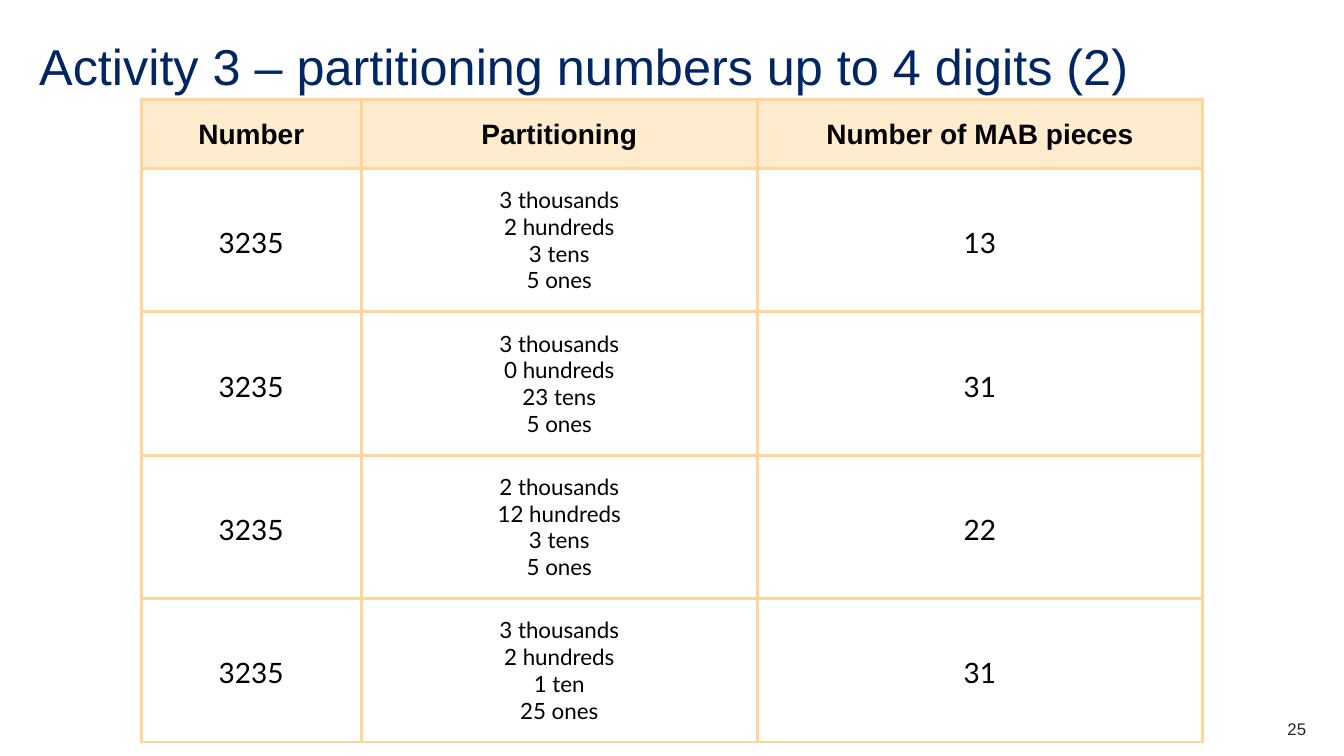
from dataclasses import dataclass

from pptx import Presentation
from pptx.dml.color import RGBColor
from pptx.enum.text import MSO_ANCHOR, MSO_AUTO_SIZE, PP_ALIGN
from pptx.oxml.ns import qn
from pptx.util import Pt
from lxml import etree

LEFT, CENTER, RIGHT = PP_ALIGN.LEFT, PP_ALIGN.CENTER, PP_ALIGN.RIGHT
MIDDLE = MSO_ANCHOR.MIDDLE
NO_FIT = MSO_AUTO_SIZE.NONE
TITLE_ONLY = 5


@dataclass(frozen=True)
class Theme:
    """Colours, fonts and sizes of the slide."""
    navy: str = "002664"
    charcoal: str = "22272B"
    black: str = "000000"
    header_fill: str = "FFEBCD"
    border: str = "FFD699"
    border_width: float = 2.25
    cell_margin: float = 13
    heading_font: str = "Arial"
    body_font: str = "Lato"
    title_size: int = 36
    number_size: int = 20
    parts_size: int = 16
    page_size: int = 12


class SlideBuilder:
    """Adds styled elements to one slide."""

    def __init__(self, slide, theme):
        self.slide = slide
        self.theme = theme

    def set_text(self, frame, text, font, size, color, align, spacing=None, bold=False):
        """Fill a text frame with one paragraph per line of text."""
        frame.text = text
        values = {"name": font, "size": Pt(size), "bold": bold}
        for paragraph in frame.paragraphs:
            paragraph.alignment = align
            paragraph.line_spacing = spacing
            for run in paragraph.runs:
                for name, value in values.items():
                    setattr(run.font, name, value)
                run.font.color.rgb = RGBColor.from_string(color)

    def place(self, shape, left, top, width, height):
        """Set the position of a text shape and clear its margins."""
        bounds = {"left": left, "top": top, "width": width, "height": height}
        for name, value in bounds.items():
            setattr(shape, name, Pt(value))
        frame_values = {"margin_left": 0, "margin_top": 0, "margin_right": 0,
                        "margin_bottom": 0, "word_wrap": True,
                        "vertical_anchor": MIDDLE, "auto_size": NO_FIT}
        for name, value in frame_values.items():
            setattr(shape.text_frame, name, value)

    def title(self, text, *bounds):
        """Format the title placeholder."""
        shape = self.slide.shapes.title
        self.place(shape, *bounds)
        self.set_text(shape.text_frame, text, self.theme.heading_font,
                      self.theme.title_size, self.theme.navy, LEFT, 0.9)

    def page_number(self, text, *bounds):
        """Add the page number."""
        shape = self.slide.shapes.add_textbox(0, 0, 0, 0)
        self.place(shape, *bounds)
        self.set_text(shape.text_frame, text, self.theme.heading_font,
                      self.theme.page_size, self.theme.charcoal, RIGHT)

    def outline(self, cell):
        """Draw all four borders of a cell."""
        properties = cell._tc.get_or_add_tcPr()
        for position, side in enumerate(("lnL", "lnR", "lnT", "lnB")):
            line = etree.Element(qn(f"a:{side}"), w=str(Pt(self.theme.border_width)))
            fill = etree.SubElement(line, qn("a:solidFill"))
            etree.SubElement(fill, qn("a:srgbClr"), val=self.theme.border)
            properties.insert(position, line)

    def cell(self, cell, text, is_header):
        """Format one table cell."""
        theme = self.theme
        for side in ("left", "right", "top", "bottom"):
            setattr(cell, f"margin_{side}", Pt(theme.cell_margin))
        cell.vertical_anchor = MIDDLE
        if is_header:
            cell.fill.solid()
            cell.fill.fore_color.rgb = RGBColor.from_string(theme.header_fill)
            style = (theme.heading_font, theme.number_size, theme.black, CENTER, Pt(23), True)
        else:
            cell.fill.background()
            if "\n" in text:
                style = (theme.body_font, theme.parts_size, theme.black, CENTER)
            else:
                style = (theme.body_font, theme.number_size, theme.black, CENTER, Pt(28))
        self.set_text(cell.text_frame, text, *style)
        self.outline(cell)

    def table(self, rows, left, top, widths, heights):
        """Add a bordered table whose first row is a header."""
        frame = self.slide.shapes.add_table(
            len(rows), len(widths), Pt(left), Pt(top), Pt(sum(widths)), Pt(sum(heights)))
        table = frame.table
        table.horz_banding = False
        for column, width in zip(table.columns, widths):
            column.width = Pt(width)
        for row_index, (row, height) in enumerate(zip(rows, heights)):
            table.rows[row_index].height = Pt(height)
            for column_index, text in enumerate(row):
                self.cell(table.cell(row_index, column_index), text, row_index == 0)


def main():
    """Build and save the slide."""
    presentation = Presentation()
    presentation.slide_width = Pt(960)
    presentation.slide_height = Pt(540)
    slide = presentation.slides.add_slide(presentation.slide_layouts[TITLE_ONLY])
    builder = SlideBuilder(slide, Theme())
    builder.title("Activity 3 – partitioning numbers up to 4 digits (2)", 28, 28, 816.5, 43.5)
    builder.page_number("25", 876, 513.5, 57, 14.5)

    partitions = [
        ((3, "thousands"), (2, "hundreds"), (3, "tens"), (5, "ones")),
        ((3, "thousands"), (0, "hundreds"), (23, "tens"), (5, "ones")),
        ((2, "thousands"), (12, "hundreds"), (3, "tens"), (5, "ones")),
        ((3, "thousands"), (2, "hundreds"), (1, "ten"), (25, "ones")),
    ]
    rows = [("Number", "Partitioning", "Number of MAB pieces")]
    for parts in partitions:
        lines = "\n".join(f"{count} {unit}" for count, unit in parts)
        rows.append(("3235", lines, str(sum(count for count, unit in parts))))
    builder.table(rows, 101, 71.3, (157, 283, 318), [47.5] + [91.5] * len(partitions))
    presentation.save("out.pptx")


if __name__ == "__main__":
    main()
